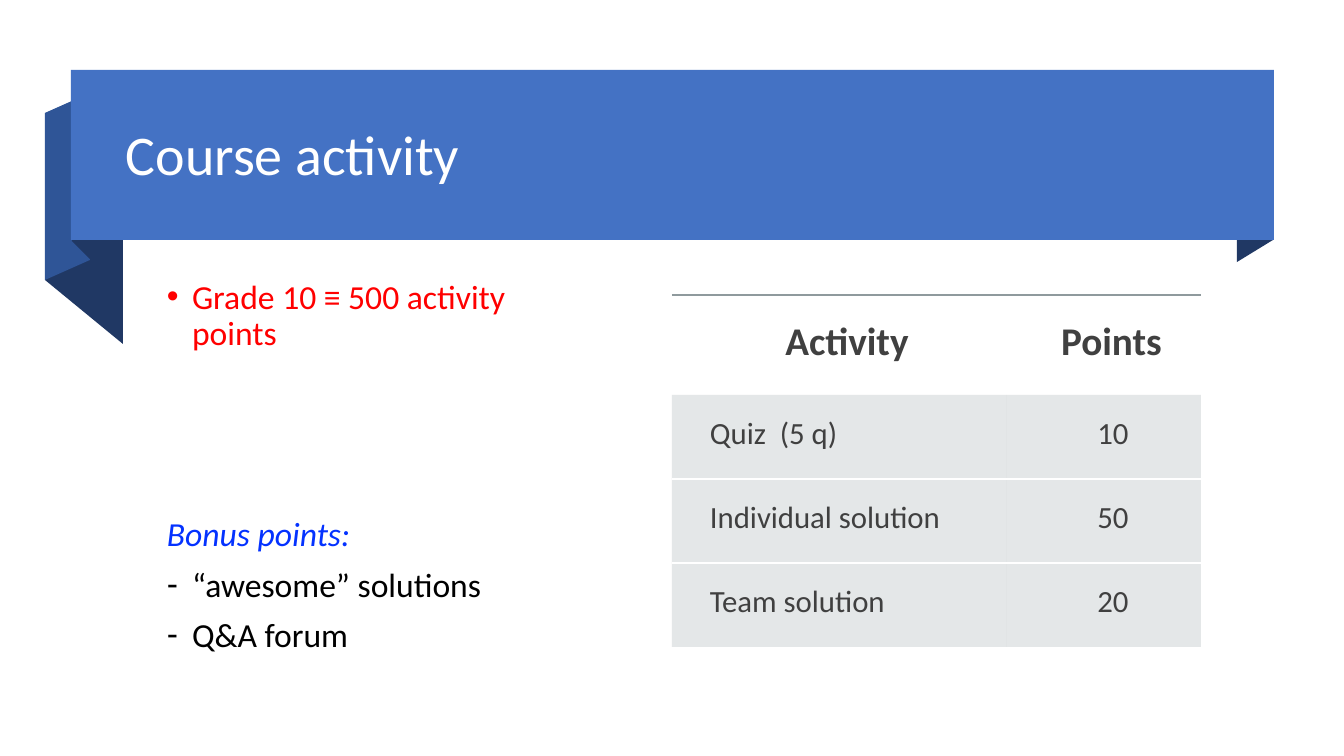
from dataclasses import dataclass
from typing import Any

import lxml.etree
import pptx
import pptx.dml.color
import pptx.enum.shapes
import pptx.enum.text
import pptx.oxml
import pptx.oxml.ns
import pptx.util

RGB = pptx.dml.color.RGBColor
NAVY = RGB(0x20, 0x38, 0x64)
MID_BLUE = RGB(0x2F, 0x55, 0x97)
BLUE = RGB(0x44, 0x72, 0xC4)
WHITE = RGB(0xFF, 0xFF, 0xFF)
BLACK = RGB(0x00, 0x00, 0x00)
RED = RGB(0xFF, 0x00, 0x00)
BONUS_BLUE = RGB(0x04, 0x32, 0xFF)
DARK_GRAY = RGB(0x40, 0x40, 0x40)
CELL_GRAY = RGB(0xB4, 0xBC, 0xBE)
RULE_GRAY = RGB(0x8F, 0x9A, 0x9D)

FONT = "Calibri"
SCALE = 914400 / 100.8
LEFT = pptx.enum.text.PP_ALIGN.LEFT
CENTER = pptx.enum.text.PP_ALIGN.CENTER
NO_TABLE_STYLE = "{2D5ABB26-0587-4C30-8999-92F81FD0307C}"


@dataclass
class Fold:
    """One ribbon fold: its corners in pixels and its colour."""
    points: list[tuple[int, int]]
    color: RGB


@dataclass
class Line:
    """One paragraph with its text format."""
    text: str
    size: int
    color: RGB
    bullet: str = ""
    before: int = 0
    spacing: float = 0.9
    align: Any = LEFT
    bold: bool = False
    italic: bool = False


FOLDS = [
    Fold([(1273, 240), (1237, 262), (1237, 92), (1273, 71)], NAVY),
    Fold([(123, 344), (45, 280), (45, 113), (123, 176)], NAVY),
    Fold([(90, 260), (45, 280), (45, 113), (90, 93)], MID_BLUE),
    Fold([(90, 259), (72, 241), (72, 71), (90, 90)], NAVY),
]
BODY = [
    Line("Grade 10 ≡ 500 activity points", 24, RED, "•", 10),
    Line("Bonus points:", 24, BONUS_BLUE, before=118, italic=True),
    Line("“awesome” solutions", 24, BLACK, "-", 10),
    Line("Q&A forum", 24, BLACK, "-", 10),
]
ROWS = [
    ("Activity", "Points"),
    ("Quiz  (5 q)", "10"),
    ("Individual solution", "50"),
    ("Team solution", "20"),
]
COLUMN_WIDTHS = [335, 194]
ROW_HEIGHTS = [100, 84, 84, 84]


def px(n: float) -> pptx.util.Emu:
    """Turn pixels into EMU."""
    return pptx.util.Emu(round(n * SCALE))


def set_all(target: Any, values: dict[str, Any]) -> None:
    """Set every attribute named in values."""
    for name, value in values.items():
        setattr(target, name, value)


def sub(parent: Any, tag: str, **attributes: str) -> Any:
    """Append a DrawingML element."""
    return lxml.etree.SubElement(parent, pptx.oxml.ns.qn("a:" + tag), attributes)


def paint(sp: Any, color: RGB) -> None:
    """Give a shape a plain fill without line or shadow."""
    sp.shadow.inherit = False
    sp.fill.solid()
    sp.fill.fore_color.rgb = color
    sp.line.fill.background()


def add_fold(s: Any, fold: Fold) -> None:
    """Draw one ribbon fold."""
    builder = s.shapes.build_freeform(*fold.points[0], scale=SCALE)
    builder.add_line_segments(fold.points[1:], close=True)
    paint(builder.convert_to_shape(), fold.color)


def write(p: Any, line: Line) -> None:
    """Fill a paragraph with one formatted line."""
    set_all(p, {"alignment": line.align, "line_spacing": line.spacing,
                "space_before": pptx.util.Pt(line.before)})
    if line.bullet:
        pPr = p._p.get_or_add_pPr()
        pPr.set("marL", "228600")
        pPr.set("indent", "-228600")
        sub(pPr, "buFont", typeface="Arial")
        sub(pPr, "buChar", char=line.bullet)
    r = p.add_run()
    r.text = line.text
    set_all(r.font, {"name": FONT, "size": pptx.util.Pt(line.size),
                     "bold": line.bold, "italic": line.italic})
    r.font.color.rgb = line.color


def add_text(s: Any, box: tuple[int, ...], lines: list[Line], anchor: Any) -> None:
    """Add a wrapped text box."""
    tf = s.shapes.add_textbox(*map(px, box)).text_frame
    set_all(tf, {"word_wrap": True, "vertical_anchor": anchor})
    for i, line in enumerate(lines):
        write(tf.add_paragraph() if i else tf.paragraphs[0], line)


def add_border(cell: Any, side: str, color: RGB, alpha: int = 100) -> None:
    """Draw one 1.5 point cell border, side being lnT or lnB."""
    ln = sub(cell._tc.get_or_add_tcPr(), side, w=str(pptx.util.Pt(1.5)))
    clr = sub(sub(ln, "solidFill"), "srgbClr", val=str(color))
    sub(clr, "alpha", val=str(alpha * 1000))


def format_cell(cell: Any, row: int, column: int) -> None:
    """Write and style one table cell."""
    head = row == 0
    inset = px(23 if head else 20)
    set_all(cell, {"margin_left": px(38), "margin_right": inset,
                   "margin_top": inset, "margin_bottom": inset})
    align = CENTER if head or column else LEFT
    write(cell.text_frame.paragraphs[0],
          Line(ROWS[row][column], 28 if head else 22, DARK_GRAY,
               spacing=1.0, align=align, bold=head))
    if head:
        add_border(cell, "lnT", RULE_GRAY, 60)
        cell.fill.background()
        return
    if row > 1:
        add_border(cell, "lnT", WHITE)
    if row < len(ROWS) - 1:
        add_border(cell, "lnB", WHITE)
    cell.fill.solid()
    cell.fill.fore_color.rgb = CELL_GRAY
    clr = cell._tc.tcPr.find(pptx.oxml.ns.qn("a:solidFill"))[0]
    sub(clr, "alpha", val="35000")


def add_points_table(s: Any, left: int, top: int) -> None:
    """Add the table of activity points."""
    size = (sum(COLUMN_WIDTHS), sum(ROW_HEIGHTS))
    table = s.shapes.add_table(len(ROWS), len(COLUMN_WIDTHS),
                               *map(px, (left, top, *size))).table
    set_all(table, {"first_row": False, "horz_banding": False})
    table._tbl.tblPr.find(pptx.oxml.ns.qn("a:tableStyleId")).text = NO_TABLE_STYLE
    for column, width in zip(table.columns, COLUMN_WIDTHS):
        column.width = px(width)
    for i, height in enumerate(ROW_HEIGHTS):
        table.rows[i].height = px(height)
        for j in range(len(COLUMN_WIDTHS)):
            format_cell(table.cell(i, j), i, j)


def main() -> None:
    """Build and save the slide."""
    prs = pptx.Presentation()
    set_all(prs, {"slide_width": px(1344), "slide_height": px(756)})
    s = prs.slides.add_slide(prs.slide_layouts[6])
    for fold in FOLDS:
        add_fold(s, fold)
    banner = s.shapes.add_shape(pptx.enum.shapes.MSO_SHAPE.RECTANGLE,
                                *map(px, (71, 70, 1203, 170)))
    paint(banner, BLUE)
    anchors = pptx.enum.text.MSO_ANCHOR
    add_text(s, (116, 84, 1136, 146), [Line("Course activity", 40, WHITE)],
             anchors.MIDDLE)
    add_text(s, (157, 275, 447, 393), BODY, anchors.TOP)
    add_points_table(s, 672, 295)
    prs.save("out.pptx")


main()
